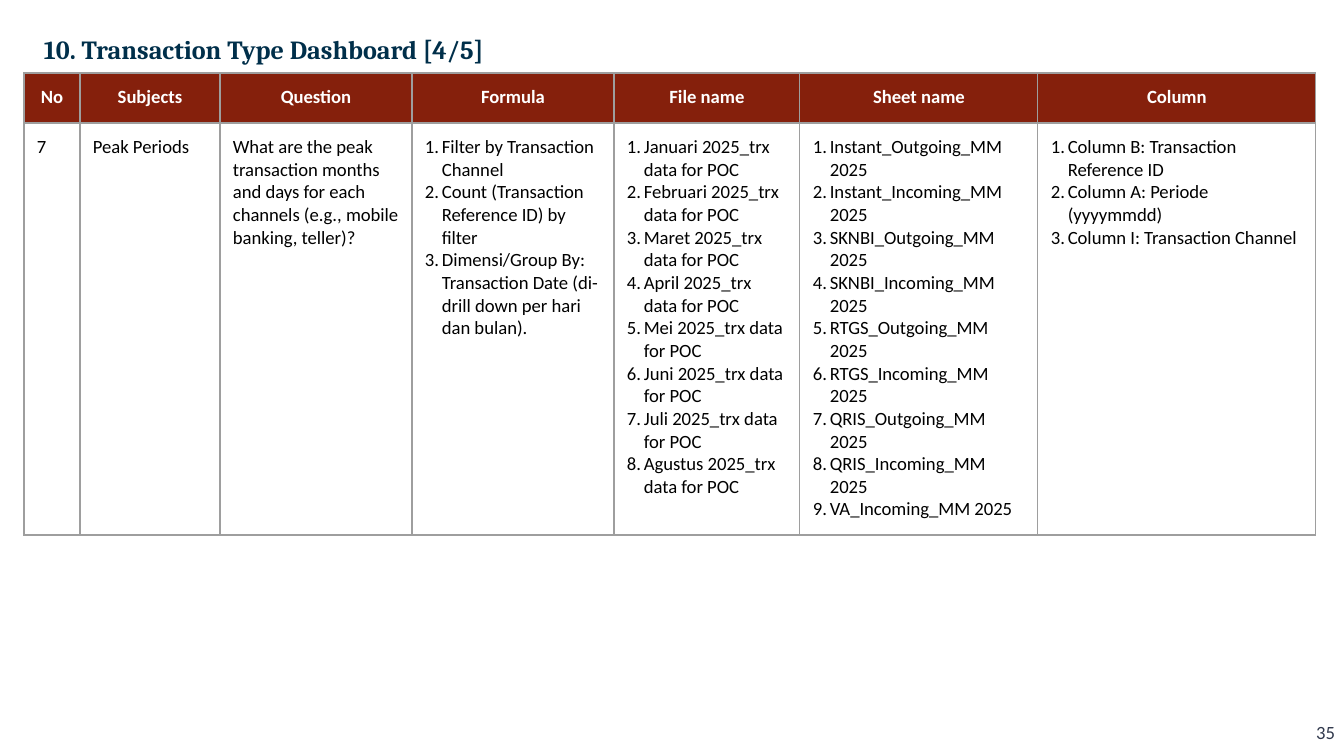
from lxml.etree import SubElement
from pptx import Presentation
from pptx.dml.color import RGBColor
from pptx.enum.text import MSO_ANCHOR, PP_ALIGN
from pptx.oxml import parse_xml
from pptx.oxml.ns import nsdecls, qn
from pptx.util import Emu, Pt

PX_PER_INCH = 134.4
HEADER_FILL = "85200C"
BORDER = "9E9E9E"
COLUMN_WIDTHS = [56, 140, 192, 202, 186, 238, 278]
ROW_HEIGHTS = [50, 412]
HEADERS = ["No", "Subjects", "Question", "Formula", "File name", "Sheet name", "Column"]
MONTHS = ["Januari", "Februari", "Maret", "April", "Mei", "Juni", "Juli", "Agustus"]
CHANNELS = ["Instant", "SKNBI", "RTGS", "QRIS"]

# A string is plain text; a list is numbered.
PEAK_PERIODS = [
    "7",
    "Peak Periods",
    "What are the peak transaction months and days for each channels "
    "(e.g., mobile banking, teller)?",
    [
        "Filter by Transaction Channel",
        "Count (Transaction Reference ID) by filter",
        "Dimensi/Group By: Transaction Date (di-drill down per hari dan bulan).",
    ],
    [f"{month} 2025_trx data for POC" for month in MONTHS],
    [f"{channel}_{way}_MM 2025" for channel in CHANNELS for way in ("Outgoing", "Incoming")]
    + ["VA_Incoming_MM 2025"],
    [
        "Column B: Transaction Reference ID",
        "Column A: Periode (yyyymmdd)",
        "Column I: Transaction Channel",
    ],
]


def px(n):
    return Emu(round(n * 914400 / PX_PER_INCH))


def rgb(color):
    return RGBColor.from_string(color)


def add_run(p, text, size, font, color, bold=False):
    r = p.add_run()
    r.text = text
    r.font.size = Pt(size)
    r.font.name = font
    r.font.bold = bold
    r.font.color.rgb = rgb(color)


def set_margins(target, side, top):
    target.margin_left = target.margin_right = px(side)
    target.margin_top = target.margin_bottom = px(top)


def add_text(s, box, text, size, font, color, bold=False,
             align=PP_ALIGN.LEFT, anchor=MSO_ANCHOR.TOP, spacing=1.0):
    tf = s.shapes.add_textbox(*map(px, box)).text_frame
    tf.word_wrap = True
    tf.vertical_anchor = anchor
    set_margins(tf, 9, 5)
    p = tf.paragraphs[0]
    p.alignment = align
    p.line_spacing = spacing
    add_run(p, text, size, font, color, bold)


def number_paragraph(p):
    """Give the paragraph a hanging automatic number."""
    pPr = p._p.get_or_add_pPr()
    pPr.set("marL", str(px(17)))
    pPr.set("indent", str(-px(17)))
    color = SubElement(pPr, qn("a:buClr"))
    SubElement(color, qn("a:srgbClr"), val="000000")
    SubElement(pPr, qn("a:buFont"), typeface="Calibri")
    SubElement(pPr, qn("a:buAutoNum"), type="arabicPeriod")


def set_borders(cell):
    """Draw all four sides; the lines must come before the fill."""
    tcPr = cell._tc.get_or_add_tcPr()
    for i, side in enumerate("LRTB"):
        tcPr.insert(i, parse_xml(
            f'<a:ln{side} {nsdecls("a")} w="{Pt(0.75)}"><a:solidFill>'
            f'<a:srgbClr val="{BORDER}"/></a:solidFill></a:ln{side}>'))


def fill_cell(cell, content, fill, color, bold=False, align=PP_ALIGN.LEFT):
    cell.fill.solid()
    cell.fill.fore_color.rgb = rgb(fill)
    set_margins(cell, 13, 13)
    set_borders(cell)
    numbered = isinstance(content, list)
    tf = cell.text_frame
    for i, text in enumerate(content if numbered else [content]):
        p = tf.add_paragraph() if i else tf.paragraphs[0]
        p.alignment = align
        if numbered:
            number_paragraph(p)
        add_run(p, text, 10, "Calibri", color, bold)


def add_question_table(s):
    table = s.shapes.add_table(
        len(ROW_HEIGHTS), len(COLUMN_WIDTHS), px(24), px(73),
        px(sum(COLUMN_WIDTHS)), px(sum(ROW_HEIGHTS))).table
    for column, width in zip(table.columns, COLUMN_WIDTHS):
        column.width = px(width)
    for row, height in zip(table.rows, ROW_HEIGHTS):
        row.height = px(height)
    for i, (header, content) in enumerate(zip(HEADERS, PEAK_PERIODS)):
        fill_cell(table.cell(0, i), header, HEADER_FILL, "FFFFFF", True, PP_ALIGN.CENTER)
        fill_cell(table.cell(1, i), content, "FFFFFF", "000000")


def main():
    prs = Presentation()
    prs.slide_width, prs.slide_height = px(1344), px(756)
    s = prs.slides.add_slide(prs.slide_layouts[6])
    add_text(s, (35, 20, 1269, 62), "10. Transaction Type Dashboard [4/5]", 14, "Cambria",
             "002F4A", bold=True, anchor=MSO_ANCHOR.MIDDLE, spacing=0.9)
    add_question_table(s)
    add_text(s, (978, 716, 366, 40), "35", 10, "Calibri", "31394D", align=PP_ALIGN.RIGHT)
    prs.save("out.pptx")


if __name__ == "__main__":
    main()
